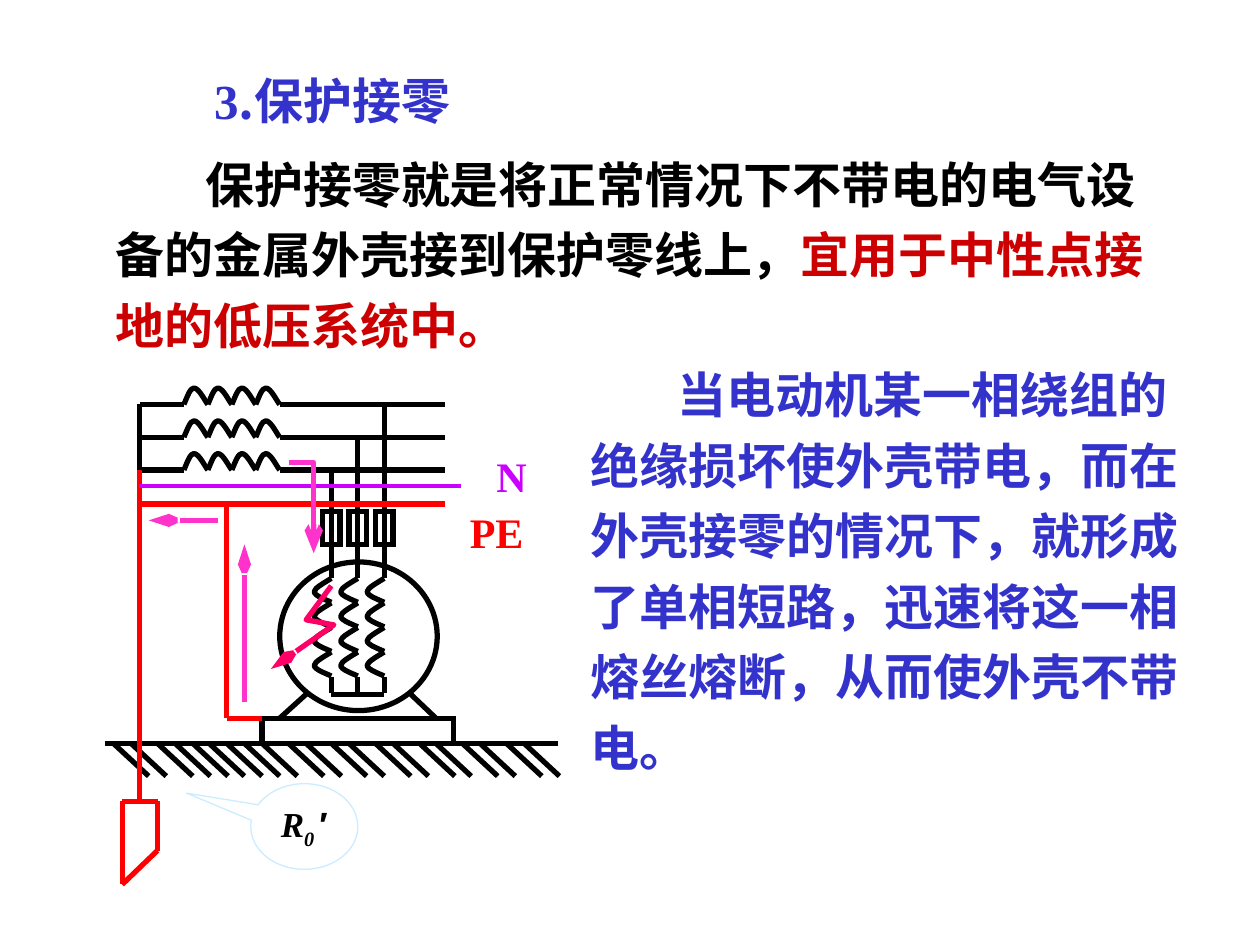
from lxml.etree import SubElement
from pptx import Presentation
from pptx.dml.color import RGBColor
from pptx.enum.shapes import MSO_CONNECTOR, MSO_SHAPE
from pptx.enum.text import MSO_ANCHOR, MSO_AUTO_SIZE, PP_ALIGN
from pptx.oxml.ns import qn
from pptx.util import Inches, Pt

COLORS = {
    "black": "000000", "blue": "3333CC", "dark_red": "CC0000", "red": "FF0000",
    "violet": "CC00FF", "pink": "FF33CC", "crimson": "FF0066", "pale_blue": "CCECFF",
}
LATIN, CJK = "Times New Roman", "Noto Sans CJK SC"

prs = Presentation()
prs.slide_width, prs.slide_height = Inches(10), Inches(7.5)
slide = prs.slides.add_slide(prs.slide_layouts[3])
shapes = slide.shapes


def add_run(paragraph, text, size, color, font=LATIN):
    run = paragraph.add_run()
    run.text = text
    run.font.size, run.font.bold, run.font.name = Pt(size), True, font
    run.font.color.rgb = RGBColor.from_string(COLORS[color])
    SubElement(run.font._element, qn("a:ea"), typeface=CJK)
    return run


def draw_line(points, color="black", width=3, head=None, curved=False):
    """Draw a connector through two points, or an open outline through more.

    head is the arrowhead width; curved reads the points as a Bezier chain.
    """
    places = [(Inches(x), Inches(y)) for x, y in points]
    if len(places) == 2:
        line = shapes.add_connector(MSO_CONNECTOR.STRAIGHT, *places[0], *places[1])
        SubElement(line._element.spPr, qn("a:effectLst"))
    else:
        builder = shapes.build_freeform(*places[0])
        builder.add_line_segments(places[1:], close=False)
        line = builder.convert_to_shape()
        line.fill.background()
        line.shadow.inherit = False
    if curved:
        outline = next(line._element.iter(qn("a:path")))
        segments = outline.findall(qn("a:lnTo"))
        for first in range(0, len(segments), 3):
            curve = SubElement(outline, qn("a:cubicBezTo"))
            for segment in segments[first:first + 3]:
                curve.append(segment[0])
                outline.remove(segment)
    line.line.width = Pt(width)
    line.line.color.rgb = RGBColor.from_string(COLORS[color])
    if head:
        SubElement(line.line._get_or_add_ln(), qn("a:tailEnd"), type="arrow", w=head, len="lg")


# Heading and the two paragraphs
heading, definition, explanation = slide.placeholders
text_blocks = [
    (heading, (1.6, 0.42, 7.73, 0.75), 0, 0,
     [("3", "blue", LATIN), (".", "blue", CJK), ("保护接零", "blue", LATIN)]),
    (definition, (0.58, 1.08, 8.75, 1.78), 0.24, 0.71,
     [("保护接零就是将正常情况下不带电的电气设备的金属外壳接到保护零线上，", "black", LATIN),
      ("宜用于中性点接地的低压系统中。", "dark_red", LATIN)]),
    (explanation, (4.59, 2.75, 5, 3.46), 0, 0.69,
     [("当电动机某一相绕组的绝缘损坏使外壳带电，而在外壳接零的情况下，就形成了单相短路，"
       "迅速将这一相熔丝熔断，从而使外壳不带电。", "blue", LATIN)]),
]
for block, box, margin, indent, runs in text_blocks:
    block.left, block.top, block.width, block.height = map(Inches, box)
    frame = block.text_frame
    frame.word_wrap, frame.auto_size = True, MSO_AUTO_SIZE.NONE
    frame.vertical_anchor = MSO_ANCHOR.TOP
    paragraph = frame.paragraphs[0]
    paragraph.alignment = PP_ALIGN.LEFT
    paragraph.line_spacing, paragraph.space_before = 1.2, Pt(7)
    properties = paragraph._p.get_or_add_pPr()
    properties.set("marL", str(Inches(margin)))
    properties.set("indent", str(Inches(indent)))
    SubElement(properties, qn("a:buNone"))
    for text, color, font in runs:
        add_run(paragraph, text, 28, color, font)

# One turn of a supply coil and of a motor winding, as chained Bezier curves
COIL_TURN = [(0, 0), (0.03, -0.07), (0.05, -0.13), (0.08, -0.13),
             (0.12, -0.13), (0.17, -0.02), (0.19, 0)]
WINDING_TURN = [(0, 0), (-0.05, 0.03), (-0.1, 0.06), (-0.12, 0.08),
                (-0.14, 0.11), (-0.14, 0.11), (-0.12, 0.13),
                (-0.1, 0.15), (-0.02, 0.18), (0, 0.19)]

# Three phases: supply coil, wires and motor winding
NEUTRAL_X, GROUND_Y, WINDING_Y = 1.11, 5.9, 4.59
for phase in range(3):
    wire_y = 3.21 + 0.26 * phase
    drop_x = 3.05 - 0.21 * phase
    for turn in range(4):
        draw_line([(1.46 + 0.19 * turn + x, wire_y + y) for x, y in COIL_TURN], curved=True)
        draw_line([(drop_x + x, WINDING_Y + 0.195 * turn + y) for x, y in WINDING_TURN],
                  curved=True)
    draw_line([(NEUTRAL_X, wire_y), (1.46, wire_y)])
    draw_line([(2.22, wire_y), (3.53, wire_y)])
    draw_line([(drop_x, wire_y), (drop_x, WINDING_Y)])
    draw_line([(drop_x, 5.37), (drop_x, 5.5)])
draw_line([(NEUTRAL_X, 3.21), (NEUTRAL_X, 3.73)])
draw_line([(2.63, 5.51), (3.05, 5.51)])

# Motor body, base and fuses
bodies = [(MSO_SHAPE.OVAL, 2.22, 4.46, 1.25, 1.18), (MSO_SHAPE.RECTANGLE, 2.08, 5.7, 1.52, 0.2)]
bodies += [(MSO_SHAPE.RECTANGLE, 2.56 + 0.21 * n, 4.06, 0.14, 0.26) for n in range(3)]
for kind, *box in bodies:
    body = shapes.add_shape(kind, *map(Inches, box))
    body.fill.background()
    body.line.color.rgb = RGBColor.from_string(COLORS["black"])
    body.line.width = Pt(3)
    SubElement(body.line._get_or_add_ln(), qn("a:miter"), lim="800000")
    body.shadow.inherit = False
draw_line([(2.43, 5.51), (2.22, 5.7)])
draw_line([(3.26, 5.51), (3.46, 5.7)])

# Ground surface with hatching
draw_line([(0.83, GROUND_Y), (1.32, GROUND_Y)])
draw_line([(1.32, GROUND_Y), (4.43, GROUND_Y)])
for hatch_x in (0.9, 1.04, 1.25, 1.39, 1.53, 1.66, 1.8, 1.94, 2.08, 2.29, 2.43,
                2.63, 2.77, 2.98, 3.12, 3.33, 3.46, 3.67, 3.81, 4.02, 4.16):
    draw_line([(hatch_x, GROUND_Y), (hatch_x + 0.28, GROUND_Y + 0.26)])

# Protective conductor, earth electrode and neutral wire
for wire in [
    [(NEUTRAL_X, 3.73), (NEUTRAL_X, 6.36)],
    [(0.97, 6.36), (1.25, 6.36)],
    [(0.97, 6.36), (0.97, 7.02)],
    [(1.25, 6.36), (1.25, 6.75)],
    [(1.25, 6.75), (0.97, 7.02)],
    [(NEUTRAL_X, 4), (3.53, 4)],
    [(1.8, 4), (1.8, 5.7)],
    [(1.8, 5.7), (2.08, 5.7)],
]:
    draw_line(wire, "red")
draw_line([(1.1, 3.86), (3.66, 3.86)], "violet", 2.25)

# Fault and the path of its current
draw_line([(2.63, 4.65), (2.43, 4.92), (2.65, 4.96), (2.15, 5.31)], "crimson", head="sm")
draw_line([(1.94, 5.57), (1.94, 4.32)], "pink", head="sm")
draw_line([(1.73, 4.13), (1.18, 4.13)], "pink", head="sm")
draw_line([(2.29, 3.67), (2.49, 3.67), (2.49, 4.39)], "pink", head="med")

# Earth resistance callout
resistance = shapes.add_shape(MSO_SHAPE.OVAL_CALLOUT, *map(Inches, (1.99, 6.22, 0.85, 0.68)))
resistance.adjustments[0], resistance.adjustments[1] = -1.1, -0.39
resistance.fill.background()
resistance.line.color.rgb = RGBColor.from_string(COLORS["pale_blue"])
resistance.line.width = Pt(0.75)
resistance.shadow.inherit = False
resistance.text_frame.word_wrap = False
resistance.text_frame.vertical_anchor = MSO_ANCHOR.MIDDLE
symbol = resistance.text_frame.paragraphs[0]
symbol.alignment = PP_ALIGN.CENTER
add_run(symbol, "R", 20, "black").font.italic = True
subscript = add_run(symbol, "0 ", 20, "black")
subscript.font.italic = True
subscript.font._element.set("baseline", "-25000")
add_run(symbol, "′", 20, "black", "Arial")

# Wire labels
for name, color, box in [("N", "violet", (3.84, 3.53, 0.52, 0.5)),
                         ("PE", "red", (3.63, 3.97, 0.81, 0.5))]:
    label = shapes.add_textbox(*map(Inches, box))
    label.text_frame.word_wrap = True
    label.text_frame.paragraphs[0].space_before = Pt(15)
    add_run(label.text_frame.paragraphs[0], name, 24, color)

prs.save("out.pptx")
